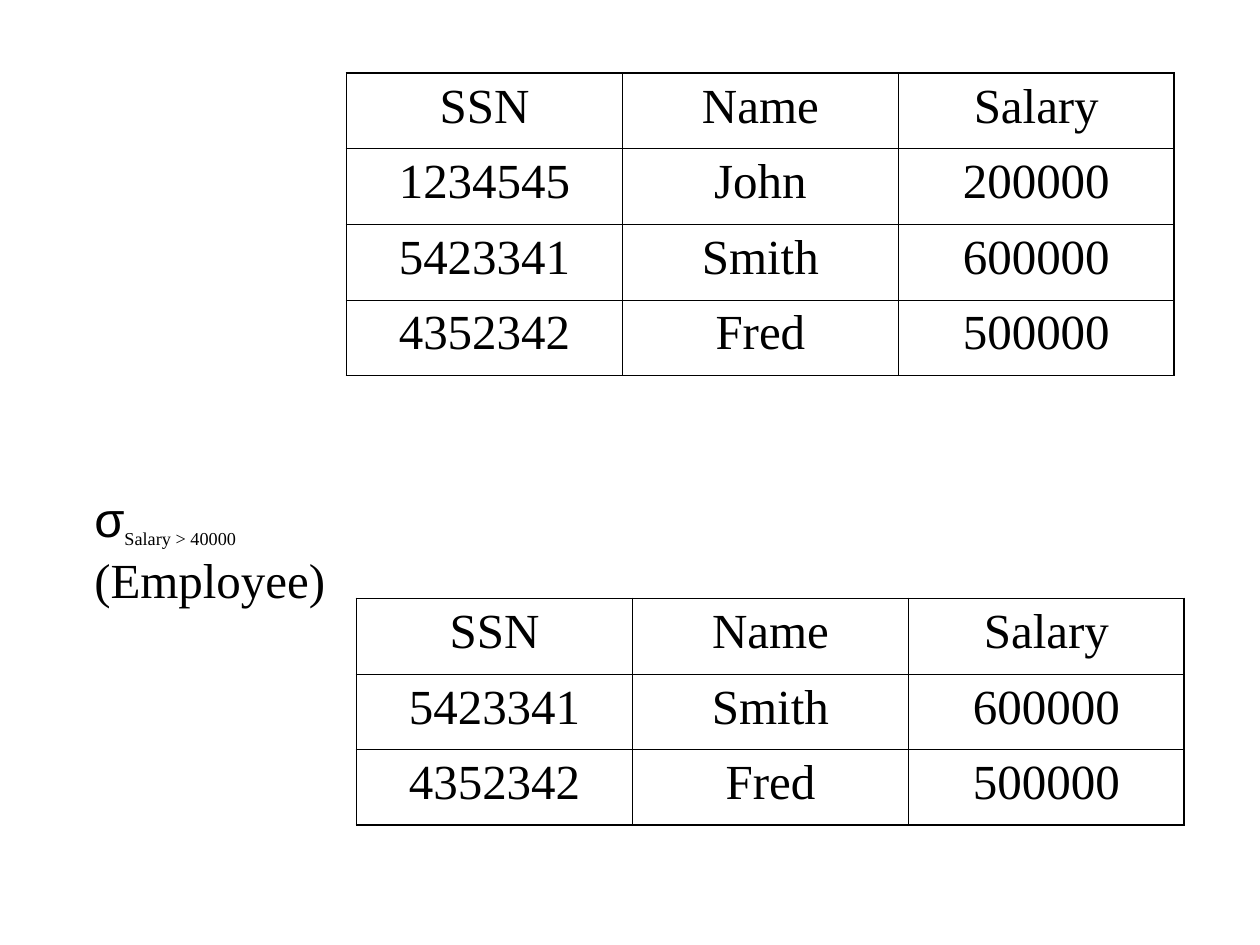
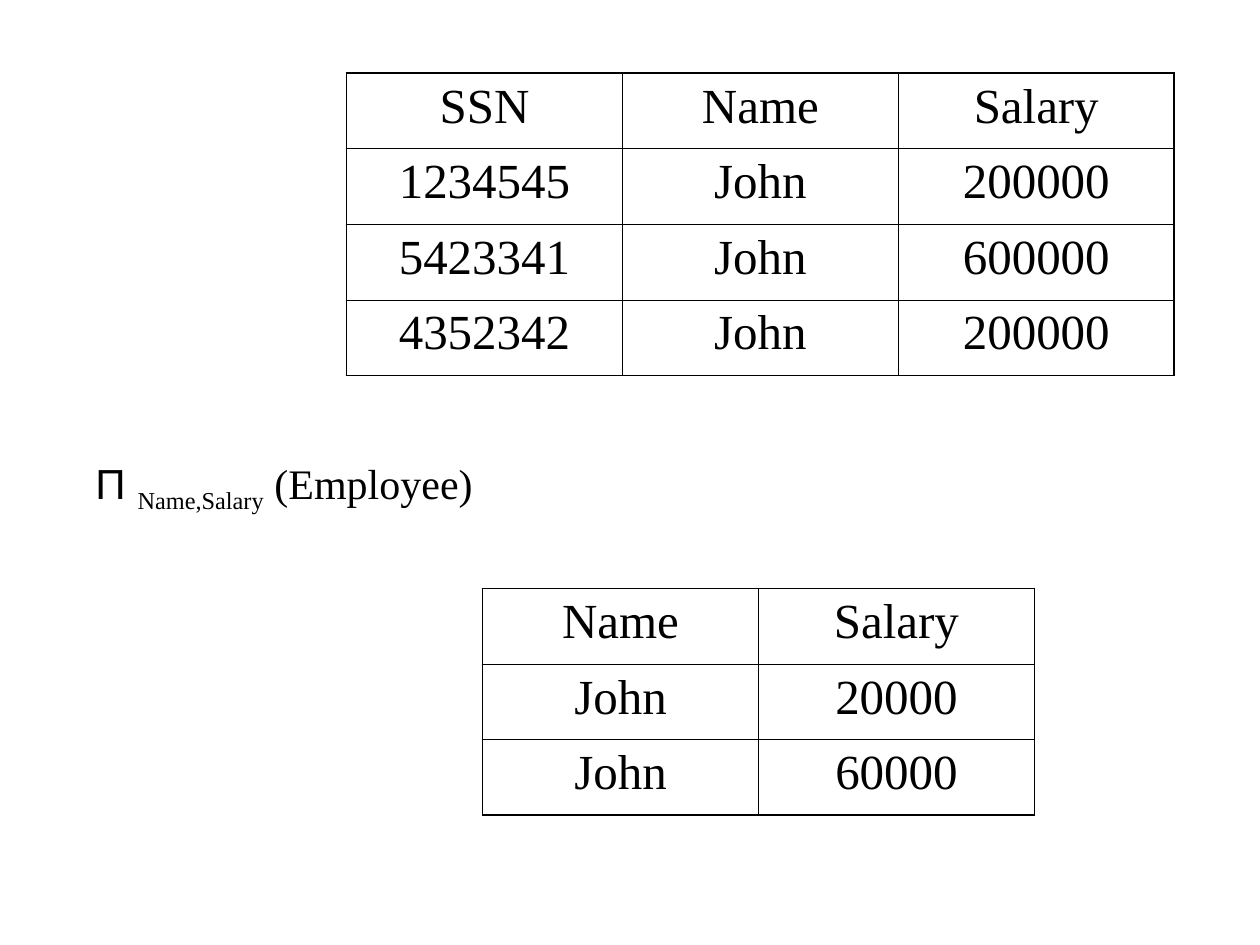
from lxml.etree import SubElement
from pptx import Presentation
from pptx.dml.color import RGBColor
from pptx.enum.text import MSO_AUTO_SIZE, PP_ALIGN
from pptx.oxml.ns import qn
from pptx.util import Inches, Pt

INK = "000000"
SERIF = "Times New Roman"
SANS = "Arial"
COLUMN_WIDTH = 2.19
ROW_HEIGHT = 0.6
OUTER_LINE = 1.08
INNER_LINE = 0.45
SUBSCRIPT = "-25000"
HEADER = ("SSN", "Name", "Salary")


def set_color(target, value):
    target.rgb = RGBColor.from_string(value)


def add_span(para, text, size, font=SERIF, baseline=None):
    span = para.add_run()
    span.text = text
    for name, value in {"name": font, "size": Pt(size)}.items():
        setattr(span.font, name, value)
    set_color(span.font.color, INK)
    if baseline:
        span.font._element.set("baseline", baseline)


def add_border(cell, side, width):
    line = SubElement(cell._tc.get_or_add_tcPr(), qn(f"a:ln{side}"), w=str(Pt(width)))
    fill = SubElement(line, qn("a:solidFill"))
    SubElement(fill, qn("a:srgbClr"), val=INK)


def add_relation(page, left, top, rows):
    row_count, column_count = len(rows), len(rows[0])
    frame = page.shapes.add_table(
        row_count, column_count, Inches(left), Inches(top),
        Inches(COLUMN_WIDTH * column_count), Inches(ROW_HEIGHT * row_count))
    table = frame.table
    for column in table.columns:
        column.width = Inches(COLUMN_WIDTH)
    for row_index, values in enumerate(rows):
        table.rows[row_index].height = Inches(ROW_HEIGHT)
        for column_index, value in enumerate(values):
            cell = table.cell(row_index, column_index)
            para = cell.text_frame.paragraphs[0]
            para.alignment = PP_ALIGN.CENTER
            add_span(para, value, 28)
            outer_sides = {
                "L": column_index == 0,
                "R": column_index == column_count - 1,
                "T": row_index == 0,
                "B": row_index == row_count - 1,
            }
            for side, is_outer in outer_sides.items():
                add_border(cell, side, OUTER_LINE if is_outer else INNER_LINE)
            cell.fill.background()


def add_expression(page, left, top, width, height, spans, wrap):
    box = page.shapes.add_textbox(
        Inches(left), Inches(top), Inches(width), Inches(height))
    frame = box.text_frame
    options = {"word_wrap": wrap, "auto_size": MSO_AUTO_SIZE.SHAPE_TO_FIT_TEXT}
    for name, value in options.items():
        setattr(frame, name, value)
    for span in spans:
        add_span(frame.paragraphs[0], *span)


def add_page(deck, employees):
    page = deck.slides.add_slide(deck.slide_layouts[6])
    add_relation(page, 2.75, 0.58, [HEADER, *employees])
    return page


def add_selection_page(deck):
    employees = [
        ("1234545", "John", "200000"),
        ("5423341", "Smith", "600000"),
        ("4352342", "Fred", "500000"),
    ]
    page = add_page(deck, employees)
    spans = [
        ("σ", 28, SANS),
        ("Salary > 40000 ", 18, SERIF, SUBSCRIPT),
        ("(Employee)", 28),
    ]
    add_expression(page, 0.65, 3.83, 2.9, 1.04, spans, wrap=True)
    add_relation(page, 2.83, 4.75, [HEADER, *employees[1:]])


def add_projection_page(deck):
    employees = [
        ("1234545", "John", "200000"),
        ("5423341", "John", "600000"),
        ("4352342", "John", "200000"),
    ]
    page = add_page(deck, employees)
    spans = [
        ("Π ", 24, SANS),
        ("Name,Salary", 24, SERIF, SUBSCRIPT),
        (" (Employee)", 24),
    ]
    add_expression(page, 0.66, 3.58, 3.2, 0.56, spans, wrap=False)
    result = [HEADER[1:], ("John", "20000"), ("John", "60000")]
    add_relation(page, 3.83, 4.67, result)


def main():
    deck = Presentation()
    deck.slide_width = Inches(10)
    deck.slide_height = Inches(7.5)
    add_selection_page(deck)
    add_projection_page(deck)
    deck.save("out.pptx")


if __name__ == "__main__":
    main()
